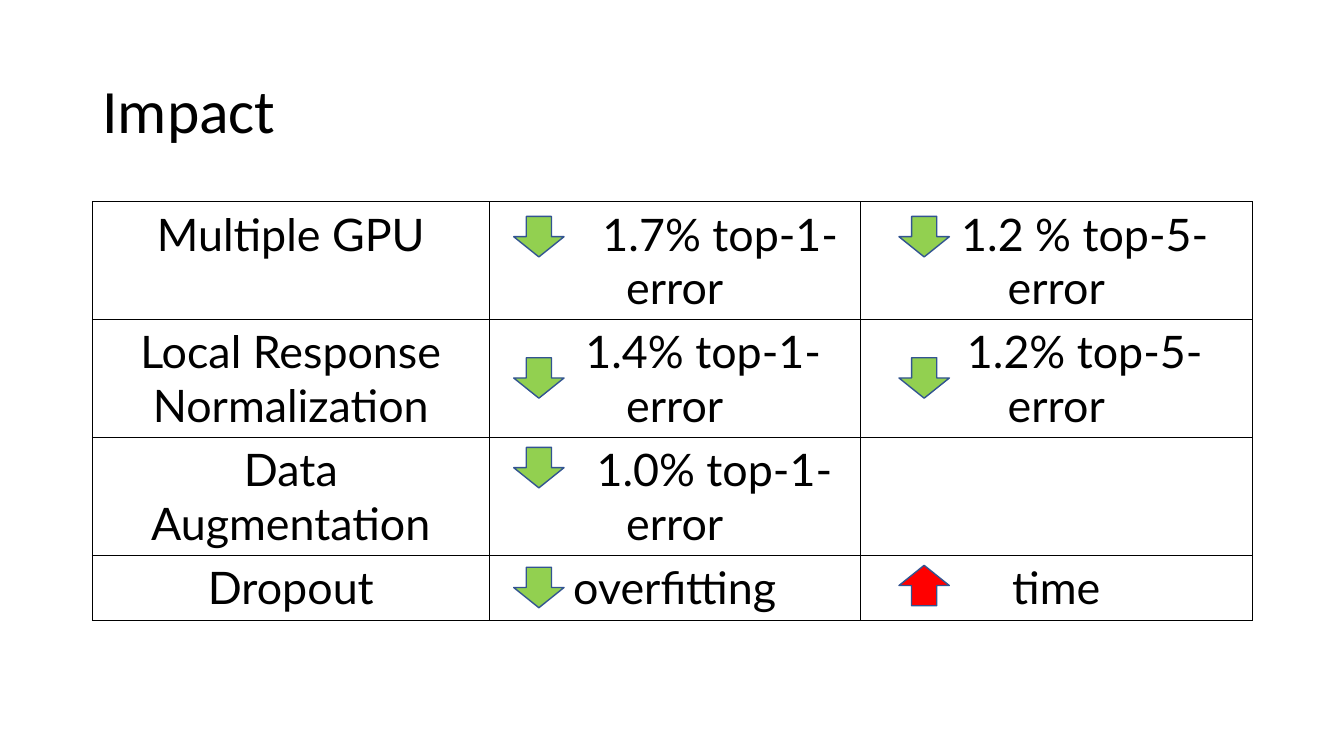
from pptx import Presentation
from pptx.dml.color import RGBColor
from pptx.enum.shapes import MSO_SHAPE
from pptx.enum.text import MSO_ANCHOR, PP_ALIGN
from pptx.oxml import parse_xml
from pptx.oxml.ns import nsdecls
from pptx.util import Cm, Pt

# Content: each cell is (text, first-line indent in cm)
TITLE = "Impact"
IMPACTS = [
    [("Multiple GPU", 0), ("1.7% top-1-error", 2.3), ("1.2 % top-5-error", 1.44)],
    [("Local Response Normalization", 0), ("1.4% top-1-error", 1.44), ("1.2% top-5-error", 1.44)],
    [("Data Augmentation", 0), ("1.0% top-1-error", 2), ("", 0)],
    [("Dropout", 0), ("overfitting", 0), ("time", 0)],
]
# Arrows: (row, column, direction, distance below the row's top in cm)
ARROWS = [
    (0, 1, "down", 0.25), (0, 2, "down", 0.25),
    (1, 1, "down", 0.84), (1, 2, "down", 0.84),
    (2, 1, "down", 0.13),
    (3, 2, "up", 0.13), (3, 1, "down", 0.18),
]
DIRECTIONS = {"down": (90, "92D050"), "up": (270, "FF0000")}

# Layout in cm
LEFT, TOP = 2.33, 5.08
COLUMN_WIDTHS = [10, 9.35, 9.88]
ROW_HEIGHTS = [2.97, 2.97, 2.97, 1.63]
ARROW_INSETS = {1: 0.74, 2: 1.1}
ARROW_SIZE = (1.02, 1.27)


def color(value):
    return RGBColor.from_string(value)


def format_font(font, **values):
    font.color.rgb = color("000000")
    for key, value in values.items():
        setattr(font, key, value)


def add_borders(cell):
    properties = cell._tc.get_or_add_tcPr()
    for position, side in enumerate(("lnL", "lnR", "lnT", "lnB")):
        properties.insert(position, parse_xml(
            f'<a:{side} {nsdecls("a")} w="12700"><a:solidFill>'
            f'<a:srgbClr val="000000"/></a:solidFill></a:{side}>'))


def fill_cell(cell, text, indent):
    cell.fill.solid()
    cell.fill.fore_color.rgb = color("FFFFFF")
    add_borders(cell)
    paragraph = cell.text_frame.paragraphs[0]
    paragraph.alignment = PP_ALIGN.CENTER
    format_font(paragraph.font, size=Pt(32), name="Lato")
    if text:
        run = paragraph.add_run()
        run.text = text
        format_font(run.font, size=Pt(32), name="Lato")
    if indent:
        properties = paragraph._p.get_or_add_pPr()
        properties.set("marL", "0")
        properties.set("indent", str(Cm(indent)))


def add_title(slide):
    title = slide.shapes.title
    box = {"left": 2.33, "top": 1.02, "width": 29.21, "height": 3.68}
    for key, value in box.items():
        setattr(title, key, Cm(value))
    title.text_frame.vertical_anchor = MSO_ANCHOR.MIDDLE
    paragraph = title.text_frame.paragraphs[0]
    paragraph.alignment = PP_ALIGN.LEFT
    paragraph.line_spacing = 0.9
    run = paragraph.add_run()
    run.text = TITLE
    format_font(run.font, size=Pt(44), name="Calibri")


def add_impacts(slide):
    table = slide.shapes.add_table(
        len(ROW_HEIGHTS), len(COLUMN_WIDTHS), Cm(LEFT), Cm(TOP),
        Cm(sum(COLUMN_WIDTHS)), Cm(sum(ROW_HEIGHTS))).table
    table.first_row = table.horz_banding = False
    for column, width in zip(table.columns, COLUMN_WIDTHS):
        column.width = Cm(width)
    for row, height, impacts in zip(table.rows, ROW_HEIGHTS, IMPACTS):
        row.height = Cm(height)
        for cell, (text, indent) in zip(row.cells, impacts):
            fill_cell(cell, text, indent)


def add_arrow(slide, row, column, direction, offset):
    rotation, fill = DIRECTIONS[direction]
    left = LEFT + sum(COLUMN_WIDTHS[:column]) + ARROW_INSETS[column]
    top = TOP + sum(ROW_HEIGHTS[:row]) + offset
    width, height = ARROW_SIZE
    arrow = slide.shapes.add_shape(
        MSO_SHAPE.RIGHT_ARROW, Cm(left), Cm(top), Cm(width), Cm(height))
    arrow.rotation = rotation
    arrow.shadow.inherit = False
    arrow.fill.solid()
    arrow.fill.fore_color.rgb = color(fill)
    arrow.line.color.rgb = color("325491")
    arrow.line.width = Pt(1)


def main():
    deck = Presentation()
    deck.slide_width, deck.slide_height = Cm(33.87), Cm(19.05)
    slide = deck.slides.add_slide(deck.slide_layouts[5])
    add_title(slide)
    add_impacts(slide)
    for arrow in ARROWS:
        add_arrow(slide, *arrow)
    deck.save("out.pptx")


if __name__ == "__main__":
    main()
